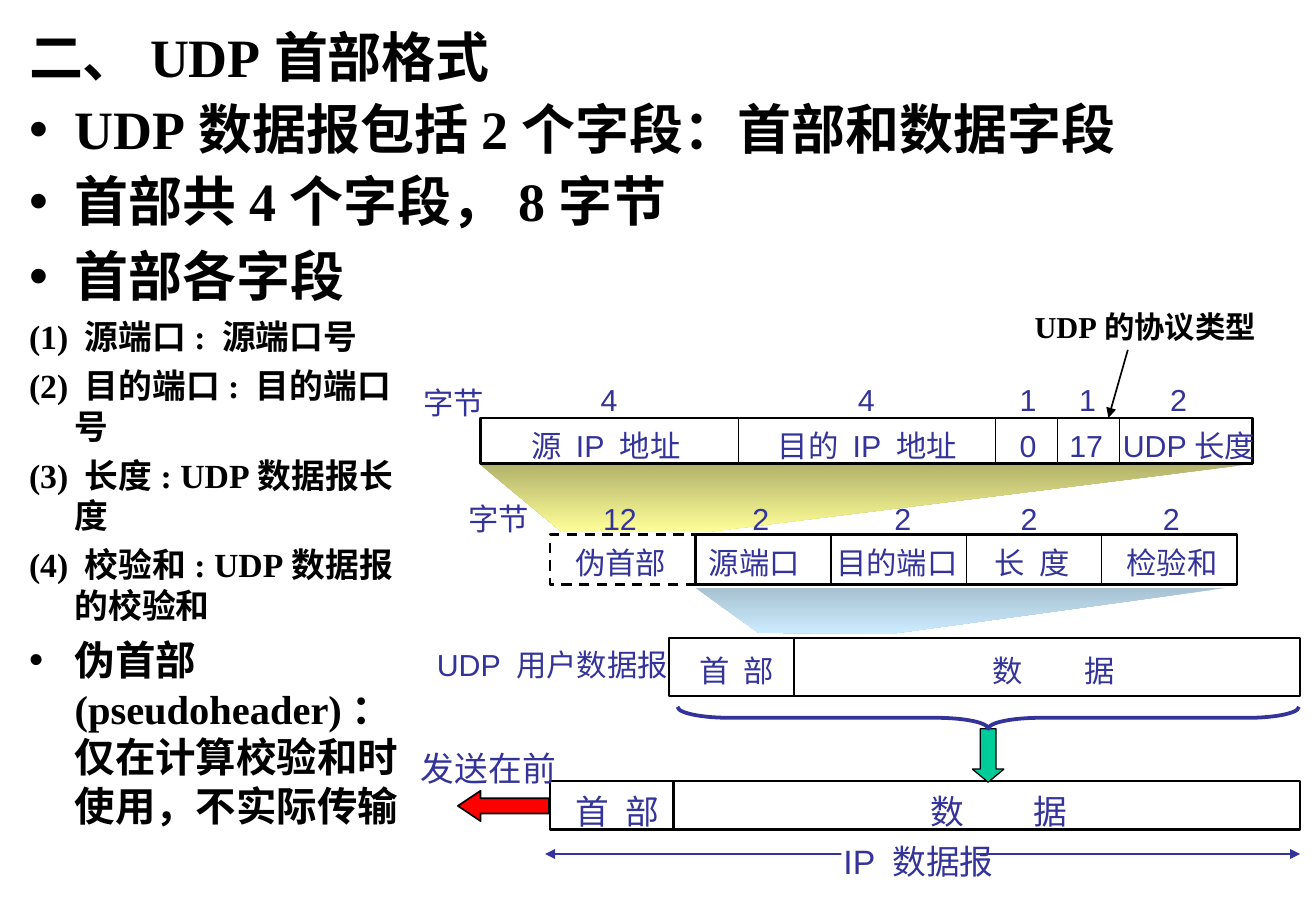
from typing import NamedTuple, Optional

from lxml.etree import SubElement
from pptx import Presentation
from pptx.dml.color import RGBColor
from pptx.enum.dml import MSO_LINE
from pptx.enum.shapes import MSO_CONNECTOR, MSO_SHAPE
from pptx.enum.text import MSO_ANCHOR, MSO_AUTO_SIZE, PP_ALIGN
from pptx.oxml.ns import qn
from pptx.util import Pt

HUES = {"ink": "000000", "label": "333399", "white": "FFFFFF", "red": "FF0000", "green": "00CC99",
        "olive": "B2B26B", "yellow": "FFFF99", "steel": "A7C1D1", "sky": "CCECFF"}
SERIF, SANS = "Times New Roman", "Arial"
HANG = 27


class Item(NamedTuple):
    text: str
    size: float = 32
    before: float = 8
    mark: bool = True
    pitch: float = 1


class Label(NamedTuple):
    text: str
    left: float
    top: float
    wide: float
    size: float = 18


class Form(NamedTuple):
    kind: MSO_SHAPE
    left: float
    top: float
    wide: float
    high: float
    fill: Optional[str] = None
    line: Optional[str] = "ink"
    weight: float = 1
    adjust: tuple = ()
    turn: float = 0


class Wire(NamedTuple):
    start: tuple
    end: tuple
    color: str = "ink"
    weight: float = 0.75
    ends: tuple = ()


def hue(name: str) -> RGBColor:
    return RGBColor.from_string(HUES[name])


def write(para, text: str, size: float, face: str, color: str, bold: bool) -> None:
    run = para.add_run()
    run.text = text
    run.font.size, run.font.name, run.font.bold = Pt(size), face, bold
    run.font.color.rgb = hue(color)


def place(holder, box: tuple, items: list) -> None:
    holder.left, holder.top, holder.width, holder.height = map(Pt, box)
    frame = holder.text_frame
    frame.word_wrap, frame.auto_size = True, MSO_AUTO_SIZE.NONE
    frame.vertical_anchor = MSO_ANCHOR.TOP
    for rank, item in enumerate(items):
        para = frame.add_paragraph() if rank else frame.paragraphs[0]
        props = para._p.get_or_add_pPr()
        props.set("marL", str(Pt(HANG)))
        props.set("indent", str(-Pt(HANG)))
        if item.mark:
            SubElement(props, qn("a:buChar")).set("char", "•")
        else:
            SubElement(props, qn("a:buNone"))
        para.alignment = PP_ALIGN.LEFT
        para.line_spacing = item.pitch
        para.space_before = Pt(item.before if rank else 0)
        write(para, item.text, item.size, SERIF, "ink", True)


def tag(shapes, label: Label, face: str = SANS, color: str = "label", bold: bool = False) -> None:
    box = shapes.add_textbox(Pt(label.left), Pt(label.top), Pt(label.wide), Pt(label.size * 1.6))
    frame = box.text_frame
    frame.word_wrap = "\t" in label.text
    frame.auto_size = MSO_AUTO_SIZE.SHAPE_TO_FIT_TEXT
    para = frame.paragraphs[0]
    if "\t" in label.text:
        stop = SubElement(SubElement(para._p.get_or_add_pPr(), qn("a:tabLst")), qn("a:tab"))
        stop.set("pos", str(Pt(label.size * (3.03 if label.wide > 80 else 1.48))))
        stop.set("algn", "l")
    write(para, label.text, label.size, face, color, bold)


def draw(shapes, form: Form):
    shape = shapes.add_shape(form.kind, Pt(form.left), Pt(form.top), Pt(form.wide), Pt(form.high))
    shape.shadow.inherit = False
    shape.rotation = form.turn
    for rank, value in enumerate(form.adjust):
        shape.adjustments[rank] = value
    if form.fill:
        shape.fill.solid()
        shape.fill.fore_color.rgb = hue(form.fill)
    else:
        shape.fill.background()
    if form.line:
        shape.line.color.rgb = hue(form.line)
        shape.line.width = Pt(form.weight)
    else:
        shape.line.fill.background()
    return shape


def link(shapes, wire: Wire):
    line = shapes.add_connector(MSO_CONNECTOR.STRAIGHT, *map(Pt, wire.start + wire.end))
    line.line.color.rgb = hue(wire.color)
    line.line.width = Pt(wire.weight)
    for end in wire.ends:
        SubElement(line.line._ln, qn(f"a:{end}")).set("type", "triangle")
    SubElement(line._element.spPr, qn("a:effectLst"))
    return line


def trace(shapes, points: list, close: bool):
    first, *rest = [(Pt(x), Pt(y)) for x, y in points]
    pen = shapes.build_freeform(*first)
    pen.add_line_segments(rest, close=close)
    shape = pen.convert_to_shape()
    shape.shadow.inherit = False
    return shape


def fan(shapes, points: list, dark: str, light: str) -> None:
    shape = trace(shapes, points, True)
    shape.line.fill.background()
    shape.fill.gradient()
    shape.fill.gradient_angle = 270
    for stop, name in zip(shape.fill.gradient_stops, (dark, light)):
        stop.color.rgb = hue(name)


def strip(shapes, edges: list, top: float, high: float) -> None:
    left, wide = edges[0], edges[-1] - edges[0]
    frame = draw(shapes, Form(MSO_SHAPE.RECTANGLE, left, top, wide, high, weight=1.5))
    for x in edges[1:-1]:
        line = link(shapes, Wire((x, top), (x, top + high)))
        if abs(x - left - wide / 2) < 0.1:
            line.begin_connect(frame, 0)
            line.end_connect(frame, 2)


def main() -> None:
    deck = Presentation()
    deck.slide_width, deck.slide_height = Pt(780.48), Pt(540)
    slide = deck.slides.add_slide(deck.slide_layouts[3])
    shapes = slide.shapes

    # Title and lists
    title, head, side = slide.placeholders
    place(title, (10, 14.4, 716.4, 43), [Item("二、UDP首部格式", mark=False, pitch=0.9)])
    place(head, (10, 57.2, 716.4, 88), [Item("UDP数据报包括2个字段：首部和数据字段", pitch=0.9),
                                        Item("首部共4个字段，8字节", pitch=0.9)])
    notes = ["(1) 源端口: 源端口号", "(2) 目的端口: 目的端口号",
             "(3) 长度: UDP数据报长度", "(4) 校验和: UDP数据报的校验和"]
    place(side, (10, 140.4, 242.6, 379.4),
          [Item("首部各字段"), *(Item(note, 20, 5, False) for note in notes),
           Item("伪首部(pseudoheader)：仅在计算校验和时使用，不实际传输", 24, 6)])

    # Pseudo header and UDP header rows
    fan(shapes, [(284.4, 275), (743, 275), (419, 315.4), (333.4, 315.4)], "olive", "yellow")
    strip(shapes, [285, 437.8, 590.4, 627.1, 663.8, 743], 247.7, 27)
    fan(shapes, [(412.6, 348.5), (727.2, 348.5), (527.8, 375.8), (450, 375.1)], "steel", "sky")
    strip(shapes, [412.6 + 80.25 * n for n in range(5)], 316.8, 29.7)
    dash = trace(shapes, [(412.6, 346.5), (326.2, 346.5), (326.2, 316.8), (412.6, 316.8)], False)
    dash.fill.background()
    dash.line.color.rgb, dash.line.width = hue("ink"), Pt(1.5)
    dash.line.dash_style = MSO_LINE.DASH

    # Protocol type callout
    link(shapes, Wire((668.9, 207.4), (657.4, 247.7), weight=1, ends=("tailEnd",)))
    tag(shapes, Label("UDP的协议类型", 606.5, 179.3, 146), SERIF, "ink", True)

    # User datagram, IP datagram, arrows and brace
    box = MSO_SHAPE.RECTANGLE
    for form in (
        Form(box, 326.2, 463, 73.4, 28.8, weight=1.5),
        Form(MSO_SHAPE.LEFT_ARROW, 271.6, 468.7, 54, 18, "red", adjust=(0.5, 0.748)),
        Form(box, 399.6, 463, 371.5, 28.8, weight=1.5),
        Form(box, 396.7, 378, 74.2, 34.6),
        Form(MSO_SHAPE.DOWN_ARROW, 576.7, 432, 18.7, 31.7, "green", weight=0.75, adjust=(0.5, 0.415)),
        Form(box, 470.9, 378, 300.2, 34.6),
        Form(MSO_SHAPE.RIGHT_BRACE, 579.6, 241.2, 13, 368.6, None, "label", 2.25, (2.37, 0.5), 90),
    ):
        draw(shapes, form)
    link(shapes, Wire((323.3, 506.2), (771.1, 506.2), "label", ends=("headEnd", "tailEnd")))
    draw(shapes, Form(box, 499, 496, 80, 18, "white", None))

    # Byte counts
    counts = {222.5: [("4", 349.2), ("4", 501.8), ("1", 597.6), ("1", 632.9), ("2", 686.9)],
              293: [("12", 350.6), ("2", 439.2), ("2", 523.4), ("2", 598.3), ("2", 682.6)]}
    for top, cells in counts.items():
        for text, left in cells:
            tag(shapes, Label(text, left, top, 14.5 + 10 * len(text)))

    # Field names
    for label in (
        Label("字节", 244.1, 223.9, 50.4), Label("字节", 270.7, 293, 50.4),
        Label("源 IP 地址", 308.2, 249.8, 103), Label("目的 IP 地址", 454.3, 249.8, 121),
        Label("0", 597.6, 249.8, 24.5), Label("17", 627.1, 249.8, 34.5),
        Label("UDP长度", 658.8, 249.8, 92.9),
        Label("伪首部", 334.1, 319, 68.4), Label("源端口", 413.3, 319, 68.4),
        Label("目的端口", 488.9, 319, 86.4), Label("长\t度", 582.5, 319, 70),
        Label("检验和", 661, 319, 68.4),
        Label("UDP 用户数据报", 252, 379.4, 151.2),
        Label("首\t部", 407.5, 383, 70), Label("数\t据", 581.8, 383, 100),
        Label("首\t部", 334.1, 465.1, 75, 20), Label("数\t据", 545, 465.1, 110, 20),
        Label("IP 数据报", 493.2, 494.6, 103.7, 20), Label("发送在前", 242.6, 439.9, 94.3, 20),
    ):
        tag(shapes, label)

    deck.save("out.pptx")


if __name__ == "__main__":
    main()
